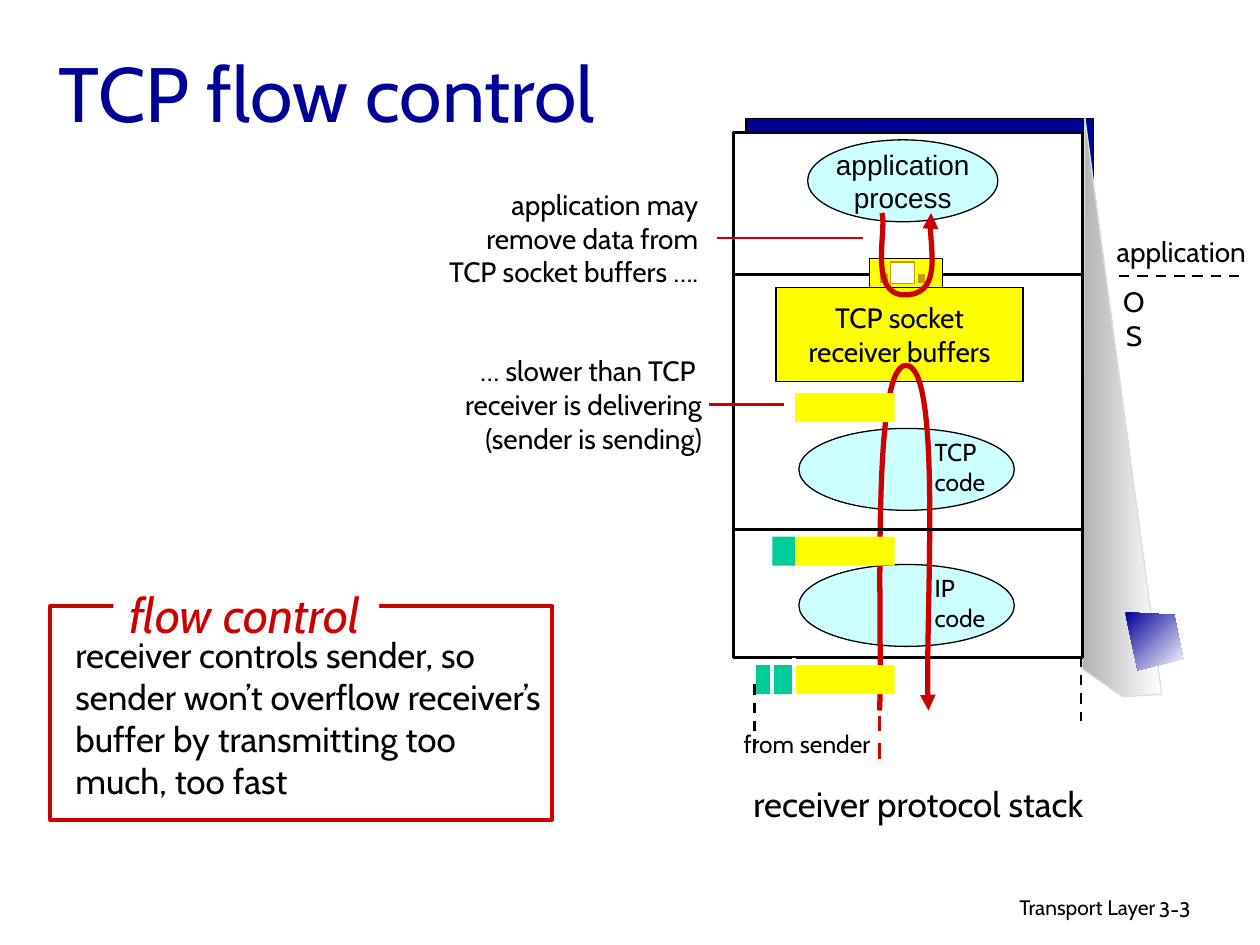
import lxml.etree
import pptx
import pptx.util
from dataclasses import dataclass
from pptx.dml.color import RGBColor
from pptx.enum.dml import MSO_LINE
from pptx.enum.shapes import MSO_CONNECTOR, MSO_SHAPE
from pptx.enum.text import MSO_ANCHOR, PP_ALIGN
from pptx.oxml.ns import qn

SCALE = 9144


@dataclass(frozen=True)
class Theme:
    font: str = "Cabin"
    process_font: str = "Arial"
    black: str = "000000"
    white: str = "FFFFFF"
    navy: str = "000099"
    red: str = "CC0000"
    cyan: str = "CCFFFF"
    yellow: str = "FFFF00"
    green: str = "00CC99"
    ochre: str = "CC9900"
    gray: str = "B2B2B2"
    pale_gray: str = "DDDDDD"
    title: int = 44
    heading: int = 28
    body: int = 20
    label: int = 16
    small: int = 14
    footer: int = 12
    thin: float = 0.75
    medium: float = 1.5
    strong: float = 2.25
    heavy: float = 3


THEME = Theme()


def px(value):
    return pptx.util.Emu(round(value * SCALE))


def set_line(line, color, width):
    if color is None:
        line.fill.background()
        return
    line.color.rgb = RGBColor.from_string(color)
    line.width = pptx.util.Pt(width)


class Region:
    def __init__(self, slide, left, top):
        self.shapes, self.left, self.top = slide.shapes, left, top

    def box(self, left, top, width, height):
        return px(self.left + left), px(self.top + top), px(width), px(height)

    def shape(self, box, fill, line=None, width=THEME.thin, kind=MSO_SHAPE.RECTANGLE):
        shape = self.shapes.add_shape(kind, *self.box(*box))
        shape.shadow.inherit = False
        shape.fill.solid()
        shape.fill.fore_color.rgb = RGBColor.from_string(fill)
        set_line(shape.line, line, width)
        return shape

    def text(self, box, lines, size, align=PP_ALIGN.LEFT, wrap=False, color=THEME.black):
        shape = self.shapes.add_textbox(*self.box(*box))
        write(shape, lines, size, align, wrap, color)
        return shape

    def line(self, start, end, color, width=THEME.medium, dashed=False):
        ends = [px(self.left + start[0]), px(self.top + start[1]),
                px(self.left + end[0]), px(self.top + end[1])]
        connector = self.shapes.add_connector(MSO_CONNECTOR.STRAIGHT, *ends)
        set_line(connector.line, color, width)
        if dashed:
            connector.line.dash_style = MSO_LINE.DASH
        lxml.etree.SubElement(connector.element.spPr, qn("a:effectLst"))
        return connector

    def outline(self, points, close):
        points = [(self.left + x, self.top + y) for x, y in points]
        builder = self.shapes.build_freeform(*points[0], scale=SCALE)
        builder.add_line_segments(points[1:], close=close)
        shape = builder.convert_to_shape()
        shape.shadow.inherit = False
        return shape

    def gradient(self, points, color, angle, line=None):
        shape = self.outline(points, True)
        shape.fill.gradient()
        shape.fill.gradient_angle = angle
        for stop, stop_color in zip(shape.fill.gradient_stops, (color, THEME.white)):
            stop.color.rgb = RGBColor.from_string(stop_color)
        set_line(shape.line, line, THEME.thin)

    def curve(self, points, arrow_end):
        shape = self.outline(points, False)
        shape.fill.background()
        set_line(shape.line, THEME.red, THEME.heavy)
        geometry = shape.element.find(".//" + qn("a:path"))
        segments = geometry.findall(qn("a:lnTo"))
        for first in range(0, len(segments), 3):
            bezier = lxml.etree.SubElement(geometry, qn("a:cubicBezTo"))
            for segment in segments[first:first + 3]:
                bezier.append(segment[0])
                geometry.remove(segment)
        line = shape.element.spPr.find(qn("a:ln"))
        lxml.etree.SubElement(line, qn(arrow_end), type="triangle")


def write(shape, lines, size, align, wrap=False, color=THEME.black, font=THEME.font):
    frame = shape.text_frame
    frame.word_wrap = wrap
    frame.text = "\n".join(lines)
    for paragraph in frame.paragraphs:
        paragraph.alignment = align
        paragraph.font.name = font
        paragraph.font.size = pptx.util.Pt(size)
        paragraph.font.color.rgb = RGBColor.from_string(color)


def add_title(slide, left, top):
    title = Region(slide, left, top).text(
        (0, 0, 850, 107), ["TCP flow control"], THEME.title, wrap=True, color=THEME.navy)
    title.text_frame.vertical_anchor = MSO_ANCHOR.MIDDLE


def add_footer(slide, left, top):
    region = Region(slide, left, top)
    region.text((0, 0, 317, 31), ["Transport Layer"], THEME.footer, PP_ALIGN.RIGHT, True)
    region.text((300, 2, 74, 30), ["3-3"], THEME.footer, wrap=True)


def add_stack(slide, left, top):
    region = Region(slide, left, top)
    region.shape((10, 1, 276, 417), THEME.navy, THEME.black)
    region.gradient([(340, 458), (279, 0), (277, 438), (309, 460)],
                    THEME.gray, 0, THEME.pale_gray)
    region.shape((0, 12, 277, 417), THEME.white, THEME.black, THEME.medium)
    process = region.shape((59, 18, 151, 65), THEME.cyan, THEME.black, kind=MSO_SHAPE.OVAL)
    write(process, ["application", "process"], THEME.label, PP_ALIGN.CENTER,
          font=THEME.process_font)
    buffers = region.shape((34, 135, 196, 75), THEME.yellow, THEME.black)
    write(buffers, ["TCP socket", "receiver buffers"], THEME.label, PP_ALIGN.CENTER)
    for row, protocol in enumerate(("TCP", "IP")):
        y = 247 + 108 * row
        region.shape((52, y, 171, 65), THEME.cyan, THEME.black, kind=MSO_SHAPE.OVAL)
        region.text((150, y + 2, 64, 57), [protocol, "code"], THEME.small)
    region.curve([(116, 471), (119, 425), (108, 197), (137, 197),
                  (166, 197), (151, 414), (155, 471)], "a:tailEnd")
    for y in (125, 327):
        region.line((0, y), (278, y), THEME.black)
    add_socket(slide, left + 108, top + 112)
    region.curve([(157, 76), (154, 87), (165, 141), (136, 141),
                  (107, 141), (122, 89), (118, 76)], "a:headEnd")
    add_packets(slide, left + 18, top + 219)
    region.line((116, 475), (116, 513), THEME.red, THEME.strong, True)
    region.text((-8, 481, 133, 34), ["from sender"], THEME.small, PP_ALIGN.CENTER)
    for x, y in ((17, 450), (276, 428)):
        region.line((x, y), (x, y + 51), THEME.black, dashed=True)
    region.text((-11, 523, 316, 44), ["receiver protocol stack"], THEME.body, PP_ALIGN.CENTER)
    region.gradient([(311, 393), (350, 395), (357, 430), (321, 439)], THEME.navy, 315)


def add_socket(slide, left, top):
    region = Region(slide, left, top)
    region.shape((0, 0, 58, 23), THEME.yellow, THEME.black)
    region.shape((17, 3, 19, 17), THEME.white, THEME.ochre)
    for x in (9, 39):
        region.shape((x, 13, 5, 6), THEME.ochre, THEME.ochre)


def add_packets(slide, left, top):
    region = Region(slide, left, top)
    for y, header in ((0, 0), (114, 18), (216, 31)):
        if header:
            region.shape((31 - header, y, header, 23), THEME.green)
        region.shape((31, y, 79, 23), THEME.yellow)
    for x, y in ((13, 216), (30, 216), (30, 210)):
        region.line((x, y), (x, y + 23), THEME.white, THEME.strong)


def add_system_boundary(slide, left, top):
    region = Region(slide, left, top)
    region.text((0, 0, 135, 37), ["application"], THEME.label, PP_ALIGN.CENTER)
    region.text((10, 40, 40, 64), ["OS"], THEME.label, PP_ALIGN.CENTER, True)
    region.line((18, 38), (113, 38), THEME.black, dashed=True)


def add_annotations(slide, left, top):
    region = Region(slide, left, top)
    removal = region.text(
        (0, 0, 349, 90), ["application may ", "remove data from ", "TCP socket buffers …. "],
        THEME.label, PP_ALIGN.RIGHT, True)
    region.line((349, 45), (465, 45), THEME.red).begin_connect(removal, 3)
    region.text((119, 132, 228, 117),
                ["… slower than TCP ", "receiver is delivering", "(sender is sending)"],
                THEME.label, PP_ALIGN.RIGHT, True)
    region.line((343, 177), (402, 177), THEME.red)


def add_definition(slide, left, top):
    region = Region(slide, left, top)
    region.shape((0, 22, 398, 170), THEME.white, THEME.red, THEME.strong)
    region.text((10, 39, 393, 177),
                ["receiver controls sender, so sender won’t overflow receiver’s "
                 "buffer by transmitting too much, too fast"], THEME.body, wrap=True)
    region.shape((50, 10, 211, 39), THEME.white)
    heading = region.text((42, 0, 224, 57), ["flow control"], THEME.heading,
                          PP_ALIGN.CENTER, color=THEME.red)
    heading.text_frame.paragraphs[0].font.italic = True


def main():
    presentation = pptx.Presentation()
    presentation.slide_width, presentation.slide_height = px(1000), px(750)
    slide = presentation.slides.add_slide(presentation.slide_layouts[6])
    add_footer(slide, 610, 705)
    add_title(slide, 37, 19)
    add_stack(slide, 582, 93)
    add_system_boundary(slide, 870, 181)
    add_annotations(slide, 220, 144)
    add_definition(slide, 40, 459)
    presentation.save("out.pptx")


if __name__ == "__main__":
    main()
